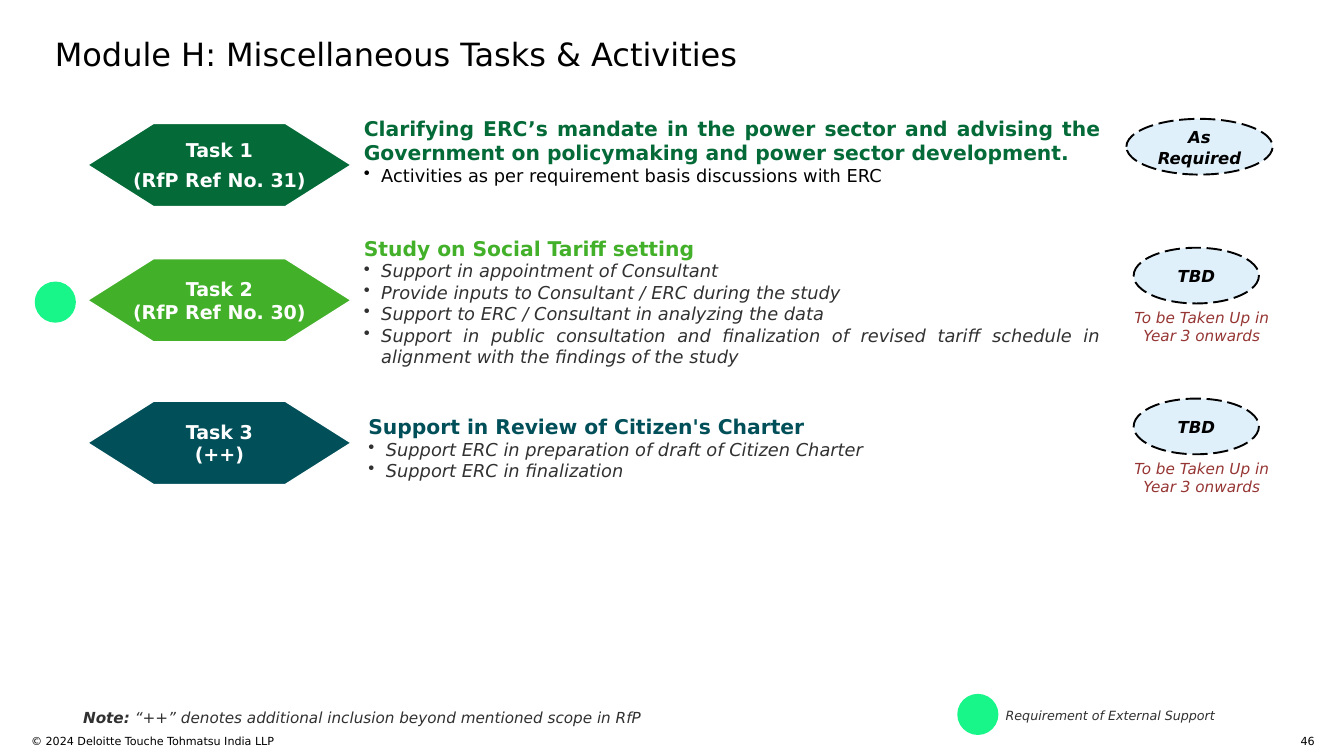
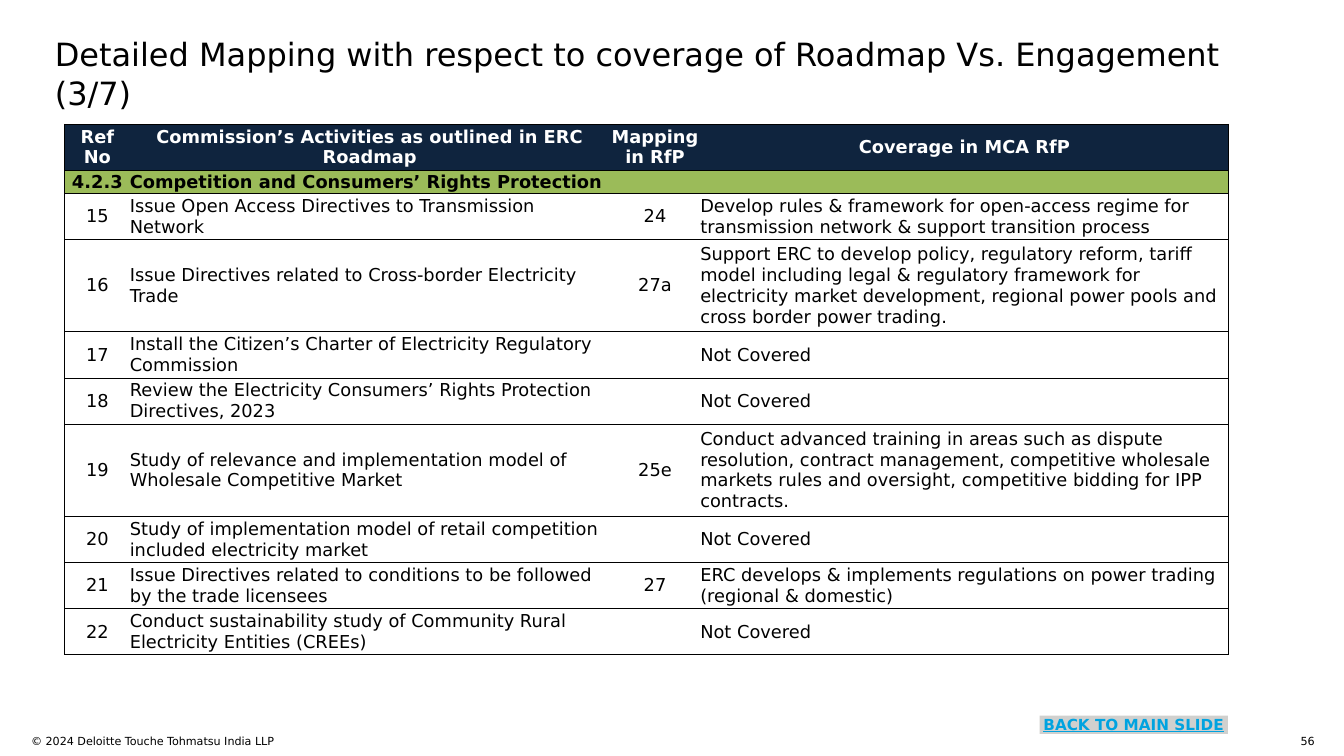
from lxml.etree import SubElement
from pptx import Presentation
from pptx.dml.color import RGBColor
from pptx.enum.dml import MSO_LINE
from pptx.enum.shapes import MSO_SHAPE
from pptx.enum.text import MSO_ANCHOR, PP_ALIGN
from pptx.oxml.ns import qn
from pptx.util import Inches, Pt

COLS, ROWS = 147, 82.7
FONT = "DejaVu Sans"
BLACK, WHITE, GRAY = "000000", "FFFFFF", "313131"
MINT, SKY, RUST = "18F689", "E0F0FA", "963634"
NAVY, OLIVE, SILVER, BLUE = "0F243E", "9BBB59", "D0D0CE", "00A3E0"
ALIGN = {"l": PP_ALIGN.LEFT, "c": PP_ALIGN.CENTER,
         "r": PP_ALIGN.RIGHT, "j": PP_ALIGN.JUSTIFY}
HEX = [(0, 0.5), (0.25, 0), (0.75, 0), (1, 0.5), (0.75, 1), (0.25, 1)]


def unit(num):
    return Inches(round(num / 10, 3))


def tint(code):
    return RGBColor.from_string(code)


def style(run, size, ink, look=""):
    font = run.font
    font.name, font.size = FONT, Pt(size)
    font.color.rgb = tint(ink)
    font.bold, font.italic = "b" in look, "i" in look
    font.underline = "u" in look


def para(frame, text, size, ink, look="", align="l", gap=0, dot=False):
    first = frame.paragraphs[0]
    item = frame.add_paragraph() if first.runs else first
    item.text = text
    item.alignment = ALIGN[align]
    if gap:
        item.space_before = Pt(gap)
    if dot:
        props = item._p.get_or_add_pPr()
        props.set("marL", str(Inches(0.19)))
        props.set("indent", str(-Inches(0.19)))
        SubElement(props, qn("a:buChar")).set("char", "•")
    for run in item.runs:
        style(run, size, ink, look)
    if not text:
        SubElement(item._p, qn("a:endParaRPr")).set("sz", str(size * 100))
    return item


def pad(frame, size):
    frame.margin_left = frame.margin_right = unit(size)
    frame.margin_top = frame.margin_bottom = unit(size)


def note(slide, area, bare=True):
    frame = slide.shapes.add_textbox(*map(unit, area)).text_frame
    frame.word_wrap = True
    if bare:
        pad(frame, 0)
    return frame


def paint(shape, fill):
    shape.shadow.inherit = False
    shape.fill.solid()
    shape.fill.fore_color.rgb = tint(fill)
    shape.line.fill.background()
    shape.text_frame.word_wrap = True
    shape.text_frame.vertical_anchor = MSO_ANCHOR.MIDDLE
    return shape


def edge(shape, ink, width):
    shape.line.color.rgb = tint(ink)
    shape.line.width = Pt(width)


def form(slide, kind, area, fill):
    return paint(slide.shapes.add_shape(kind, *map(unit, area)), fill)


def start(deck, title, page):
    slide = deck.slides.add_slide(deck.slide_layouts[6])
    para(note(slide, (6, 3.8, 134.6, 5)), title, 25.2, BLACK)
    para(note(slide, (3.4, 80.3, 64.6, 2.4)),
         "© 2024 Deloitte Touche Tohmatsu India LLP", 8.8, BLACK)
    para(note(slide, (140.1, 80.3, 3.7, 1.2)), page, 8.8, BLACK, align="r")
    return slide


def badge(slide, area, lines, fill, gap):
    left, top, wide, high = area
    dots = [(unit(left + x * wide), unit(top + y * high)) for x, y in HEX]
    pen = slide.shapes.build_freeform(*dots[0])
    pen.add_line_segments(dots[1:], close=True)
    shape = paint(pen.convert_to_shape(), fill)
    edge(shape, WHITE, 1)
    for row, line in enumerate(lines):
        para(shape.text_frame, line, 15, WHITE, "b", "c", gap if row else 0)


def body(slide, area, head, points, hue, ink, look):
    frame = note(slide, area)
    para(frame, head, 16, hue, "b", "j")
    for point in points:
        para(frame, point, 14, ink, look, "j", dot=True)


def status(slide, area, text, hint):
    left, top, wide, high = area
    shape = form(slide, MSO_SHAPE.OVAL, area, SKY)
    edge(shape, BLACK, 1.5)
    shape.line.dash_style = MSO_LINE.LONG_DASH
    pad(shape.text_frame, 1)
    para(shape.text_frame, text, 13, BLACK, "bi", "c").line_spacing = 1.06
    if hint:
        frame = note(slide, (left - 1.2, top + high, 17.3, 5), False)
        para(frame, hint, 12, RUST, "i", "c")


def spot(slide, left, top):
    form(slide, MSO_SHAPE.OVAL, (left, top, 4.5, 4.5), MINT)


def legend(slide, top):
    spot(slide, 104.7, top)
    para(note(slide, (110, top + 1.5, 28.4, 1.7)),
         "Requirement of External Support", 10, GRAY, "i")
    item = para(note(slide, (8.1, top + 1.1, 73.5, 3), False),
                "Note:", 12, GRAY, "bi")
    run = item.add_run()
    run.text = " “++” denotes additional inclusion beyond mentioned scope in RfP"
    style(run, 12, GRAY, "i")


def tasks(deck):
    slide = start(deck, "Module H: Miscellaneous Tasks & Activities", "46")
    later = "To be Taken Up in Year 3 onwards"
    plan = [
        (13.5, "046A38", ["Task 1", "(RfP Ref No. 31)"], 6,
         (39.8, 12.7), "Clarifying ERC’s mandate in the power sector and advising "
         "the Government on policymaking and power sector development.",
         ["Activities as per requirement basis discussions with ERC"],
         BLACK, "", (123.2, 13, 16, 6.1), "As Required", ""),
        (28.3, "43B02A", ["Task 2", "(RfP Ref No. 30)"], 0,
         (39.8, 25.8), "Study on Social Tariff setting",
         ["Support in appointment of Consultant",
          "Provide inputs to Consultant / ERC during the study",
          "Support to ERC / Consultant in analyzing the data",
          "Support in public consultation and finalization of revised tariff "
          "schedule in alignment with the findings of the study"],
         GRAY, "i", (124, 27.1, 13.7, 6.1), "TBD", later),
        (43.9, "004F59", ["Task 3", "(++)"], 0,
         (40.3, 45.3), "Support in Review of Citizen's Charter",
         ["Support ERC in preparation of draft of Citizen Charter",
          "Support ERC in finalization"],
         GRAY, "i", (124, 43.6, 13.7, 6.1), "TBD", later),
    ]
    for top, hue, lines, gap, spots, head, points, ink, look, oval, text, hint in plan:
        badge(slide, (9.6, top, 28.8, 9.1), lines, hue, gap)
        body(slide, (*spots, 80.6, 7.5), head, points, hue, ink, look)
        status(slide, oval, text, hint)
    spot(slide, 3.8, 30.8)
    legend(slide, 75.9)


def border(cell, sides):
    props = cell._tc.get_or_add_tcPr()
    for side in "LRTB":
        line = SubElement(props, qn("a:ln" + side))
        if side in sides:
            line.set("w", str(Pt(1)))
            fill = SubElement(line, qn("a:solidFill"))
            SubElement(fill, qn("a:srgbClr")).set("val", BLACK)
        else:
            SubElement(line, qn("a:noFill"))


def grid(slide, area, rows, wides, highs):
    table = slide.shapes.add_table(len(rows), len(wides), *map(unit, area)).table
    table.first_row = table.horz_banding = False
    for col, wide in zip(table.columns, wides):
        col.width = unit(wide)
    for row, high in zip(table.rows, highs):
        row.height = unit(high)
    fills, last = [NAVY, OLIVE], len(wides) - 1
    for y, row in enumerate(rows):
        for x, text in enumerate(row):
            cell = table.cell(y, x)
            pad(cell, 0)
            cell.vertical_anchor = MSO_ANCHOR.MIDDLE
            border(cell, "TB" + "L" * (x == 0) + "R" * (x == last))
            if y < 2:
                cell.fill.solid()
                cell.fill.fore_color.rgb = tint(fills[y])
            else:
                cell.fill.background()
            para(cell.text_frame, text, 14, BLACK if y else WHITE,
                 "b" if y < 2 else "", "c" if y == 0 or x in (0, 2) else "l")


def mapping(deck):
    slide = start(deck, "Detailed Mapping with respect to coverage of Roadmap "
                  "Vs. Engagement (3/7)", "56")
    none = "Not Covered"
    rows = [
        ("Ref No", "Commission’s Activities as outlined in ERC Roadmap",
         "Mapping in RfP", "Coverage in MCA RfP"),
        ("4.2.3", "Competition and Consumers’ Rights Protection", "", ""),
        ("15", "Issue Open Access Directives to Transmission Network", "24",
         "Develop rules & framework for open-access regime for transmission "
         "network & support transition process"),
        ("16", "Issue Directives related to Cross-border Electricity Trade", "27a",
         "Support ERC to develop policy, regulatory reform, tariff model including "
         "legal & regulatory framework for electricity market development, "
         "regional power pools and cross border power trading."),
        ("17", "Install the Citizen’s Charter of Electricity Regulatory Commission",
         "", none),
        ("18", "Review the Electricity Consumers’ Rights Protection Directives, 2023",
         "", none),
        ("19", "Study of relevance and implementation model of Wholesale "
         "Competitive Market", "25e",
         "Conduct advanced training in areas such as dispute resolution, contract "
         "management, competitive wholesale markets rules and oversight, "
         "competitive bidding for IPP contracts."),
        ("20", "Study of implementation model of retail competition included "
         "electricity market", "", none),
        ("21", "Issue Directives related to conditions to be followed by the "
         "trade licensees", "27",
         "ERC develops & implements regulations on power trading "
         "(regional & domestic)"),
        ("22", "Conduct sustainability study of Community Rural Electricity "
         "Entities (CREEs)", "", none),
    ]
    highs = [2.52 if y == 1 else 10.1 if y in (3, 6) else 5.05
             for y in range(len(rows))]
    grid(slide, (7.1, 13.6, 127.2, 58.1), rows, (7.1, 52.5, 9.9, 57.8), highs)
    back = form(slide, MSO_SHAPE.RECTANGLE, (113.7, 78.3, 20.6, 2), SILVER)
    pad(back.text_frame, 0)
    para(back.text_frame, "BACK TO MAIN SLIDE", 12, BLUE, "bu", "c")


def main():
    deck = Presentation()
    deck.slide_width, deck.slide_height = unit(COLS), unit(ROWS)
    tasks(deck)
    mapping(deck)
    deck.save("out.pptx")


if __name__ == "__main__":
    main()
